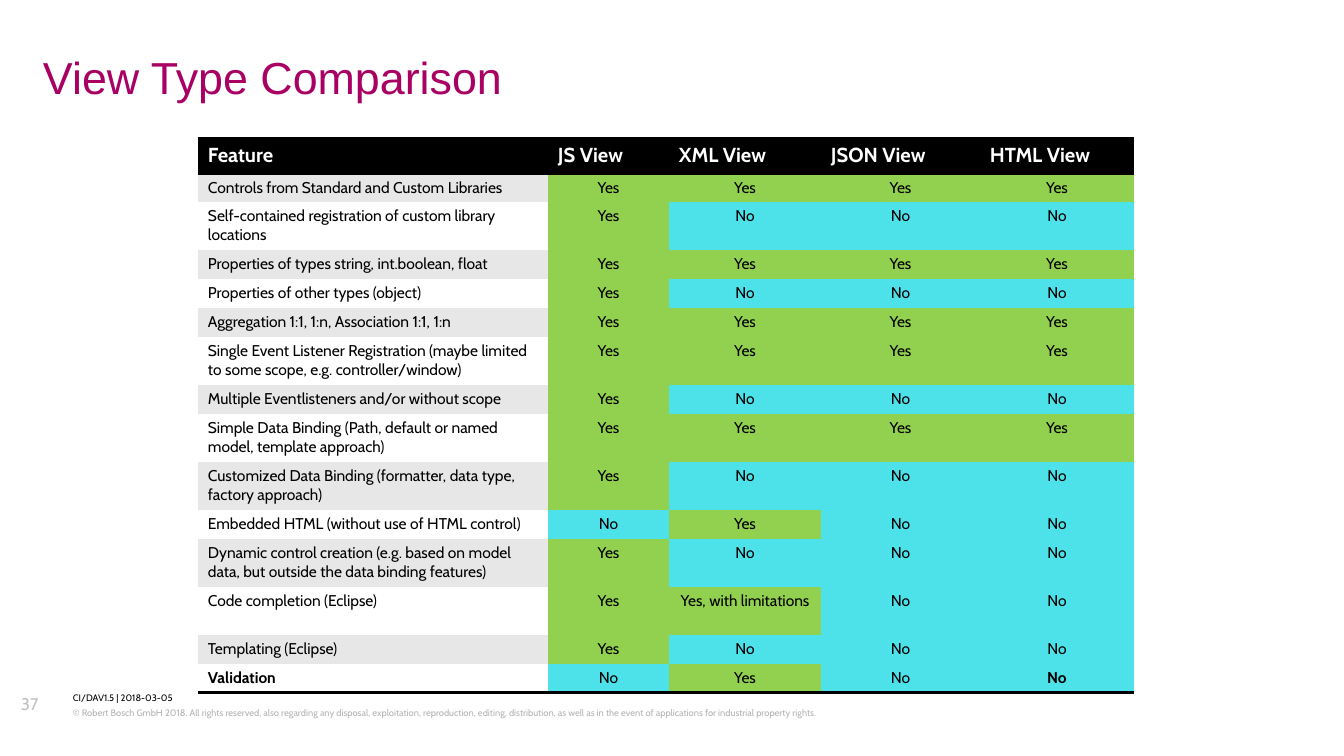
from pptx import Presentation
from pptx.dml.color import RGBColor
from pptx.enum.text import MSO_ANCHOR, PP_ALIGN
from pptx.oxml import parse_xml
from pptx.oxml.ns import nsdecls
from pptx.util import Emu, Pt

PX = 914400 // 112
BLACK = RGBColor(0, 0, 0)
WHITE = RGBColor(255, 255, 255)
STRIPE = RGBColor(0xE7, 0xE7, 0xE7)
GREEN = RGBColor(0x92, 0xD0, 0x50)
CYAN = RGBColor(0x4D, 0xE2, 0xEA)
PLUM = RGBColor(0xA8, 0x01, 0x63)
GREY = RGBColor(0xB2, 0xB3, 0xB5)
PALE = RGBColor(0xBE, 0xC0, 0xC2)

HEADS = ["Feature", "JS View", "XML View", "JSON View", "HTML View"]
WIDTHS = [350, 121, 152, 159, 154]
HEAD, FIRST, SHORT, TALL = 36, 28, 29, 48
WORDS = {"Y": "Yes", "N": "No", "L": "Yes, with limitations"}
# Feature, one answer letter per view, row height
ROWS = [
    ("Controls from Standard and Custom Libraries", "YYYY", FIRST),
    ("Self-contained registration of custom library locations", "YNNN", TALL),
    ("Properties of types string, int.boolean, float", "YYYY", SHORT),
    ("Properties of other types (object)", "YNNN", SHORT),
    ("Aggregation 1:1, 1:n, Association 1:1, 1:n", "YYYY", SHORT),
    ("Single Event Listener Registration (maybe limited to some scope, "
     "e.g. controller/window)", "YYYY", TALL),
    ("Multiple Eventlisteners and/or without scope", "YNNN", SHORT),
    ("Simple Data Binding (Path, default or named model, template approach)",
     "YYYY", TALL),
    ("Customized Data Binding (formatter, data type, factory approach)",
     "YNNN", TALL),
    ("Embedded HTML (without use of HTML control)", "NYNN", SHORT),
    ("Dynamic control creation (e.g. based on model data, but outside the "
     "data binding features)", "YNNN", TALL),
    ("Code completion (Eclipse)", "YLNN", TALL),
    ("Templating (Eclipse)", "YNNN", SHORT),
    ("Validation", "NYNN", SHORT),
]


def px(count):
    return Emu(count * PX)


def style(para, size, color, face="Cabin", bold=False):
    font = para.font
    font.size, font.name, font.bold = Pt(size), face, bold
    font.color.rgb = color


def add_text(slide, box, text, size, color, face="Cabin", lines=1.07,
             anchor=MSO_ANCHOR.TOP):
    frame = slide.shapes.add_textbox(*map(px, box)).text_frame
    frame.word_wrap = True
    frame.vertical_anchor = anchor
    frame.margin_left = frame.margin_right = 0
    frame.margin_top = frame.margin_bottom = 0
    para = frame.paragraphs[0]
    para.text = text
    para.line_spacing = lines
    style(para, size, color, face)


def set_edges(cell, ruled):
    """Draw a black rule on the ruled sides (T, B) and no line elsewhere."""
    props = cell._tc.get_or_add_tcPr()
    for side in "LRTB":
        ink = (f'<a:solidFill><a:srgbClr val="{BLACK}"/></a:solidFill>'
               if side in ruled else "<a:noFill/>")
        width = Pt(2) if side in ruled else 0
        props.append(parse_xml(
            f'<a:ln{side} {nsdecls("a")} w="{width}">{ink}</a:ln{side}>'))


def fill_cell(cell, text, fill, ruled, size=10, color=BLACK, bold=False,
              align=PP_ALIGN.LEFT):
    set_edges(cell, ruled)
    cell.fill.solid()
    cell.fill.fore_color.rgb = fill
    cell.margin_left = cell.margin_right = px(10)
    cell.margin_top, cell.margin_bottom = px(5), px(4)
    para = cell.text_frame.paragraphs[0]
    para.text = text
    para.alignment = align
    style(para, size, color, bold=bold)


def add_matrix(slide, left, top):
    tall = HEAD + sum(row[2] for row in ROWS)
    table = slide.shapes.add_table(
        len(ROWS) + 1, len(HEADS),
        px(left), px(top), px(sum(WIDTHS)), px(tall)).table
    for col, width in enumerate(WIDTHS):
        table.columns[col].width = px(width)
        fill_cell(table.cell(0, col), HEADS[col], BLACK, "TB", 13, WHITE, True)
    table.rows[0].height = px(HEAD)
    last = len(ROWS)
    for num, (name, marks, height) in enumerate(ROWS, 1):
        table.rows[num].height = px(height)
        ruled = {1: "T", last: "B"}.get(num, "")
        fill_cell(table.cell(num, 0), name, STRIPE if num % 2 else WHITE,
                  ruled, bold=num == last)
        for col, mark in enumerate(marks, 1):
            fill_cell(table.cell(num, col), WORDS[mark],
                      CYAN if mark == "N" else GREEN, ruled,
                      bold=num == last and col == len(marks),
                      align=PP_ALIGN.CENTER)


def main():
    deck = Presentation()
    deck.slide_width, deck.slide_height = px(1344), px(756)
    slide = deck.slides.add_slide(deck.slide_layouts[6])
    add_text(slide, (73, 691, 1121, 13), "CI/DAV1.5 | 2018-03-05", 6, BLACK)
    add_text(slide, (73, 706, 1121, 27),
             "© Robert Bosch GmbH 2018. All rights reserved, also regarding "
             "any disposal, exploitation, reproduction, editing, "
             "distribution, as well as in the event of applications for "
             "industrial property rights.", 6, GREY)
    add_text(slide, (21, 692, 43, 28), "37", 10.8, PALE)
    add_matrix(slide, 198, 138)
    add_text(slide, (43, 56, 1007, 48), "View Type Comparison", 28.8, PLUM,
             "Arial", 0.9, MSO_ANCHOR.MIDDLE)
    deck.save("out.pptx")


if __name__ == "__main__":
    main()
